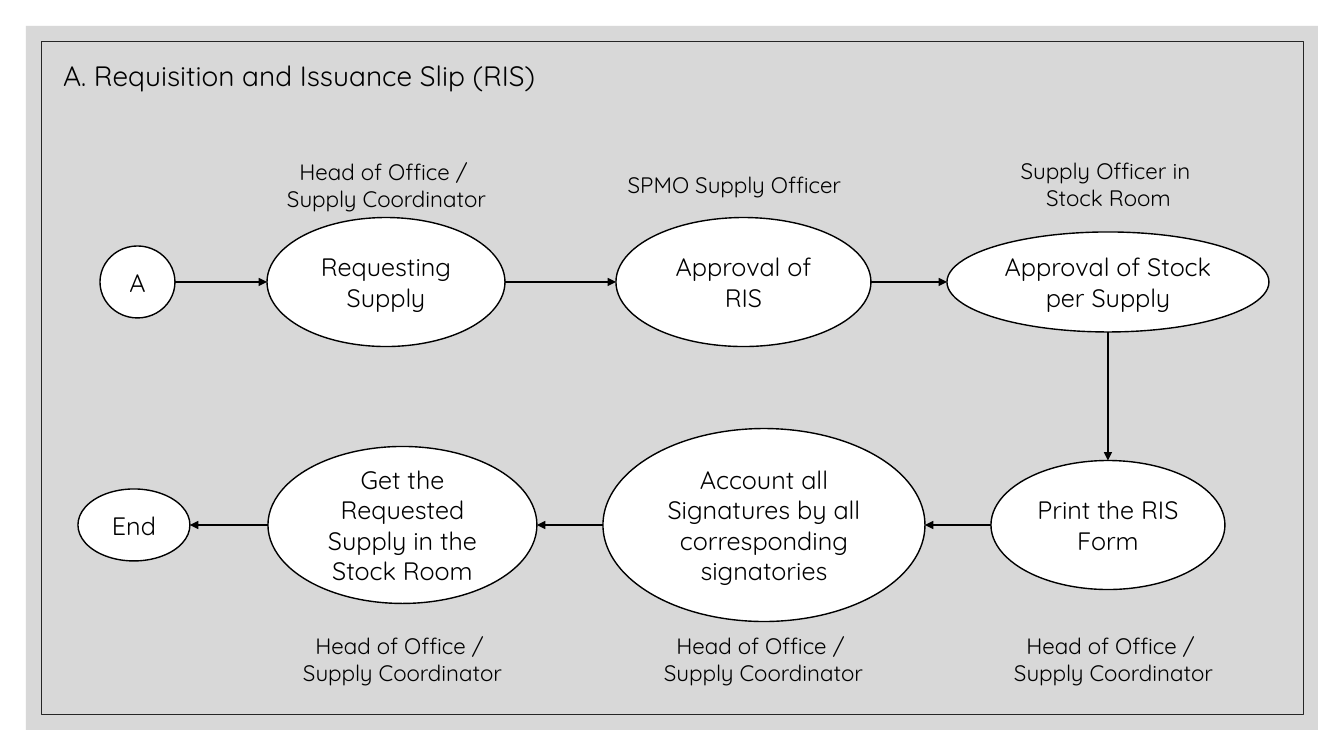
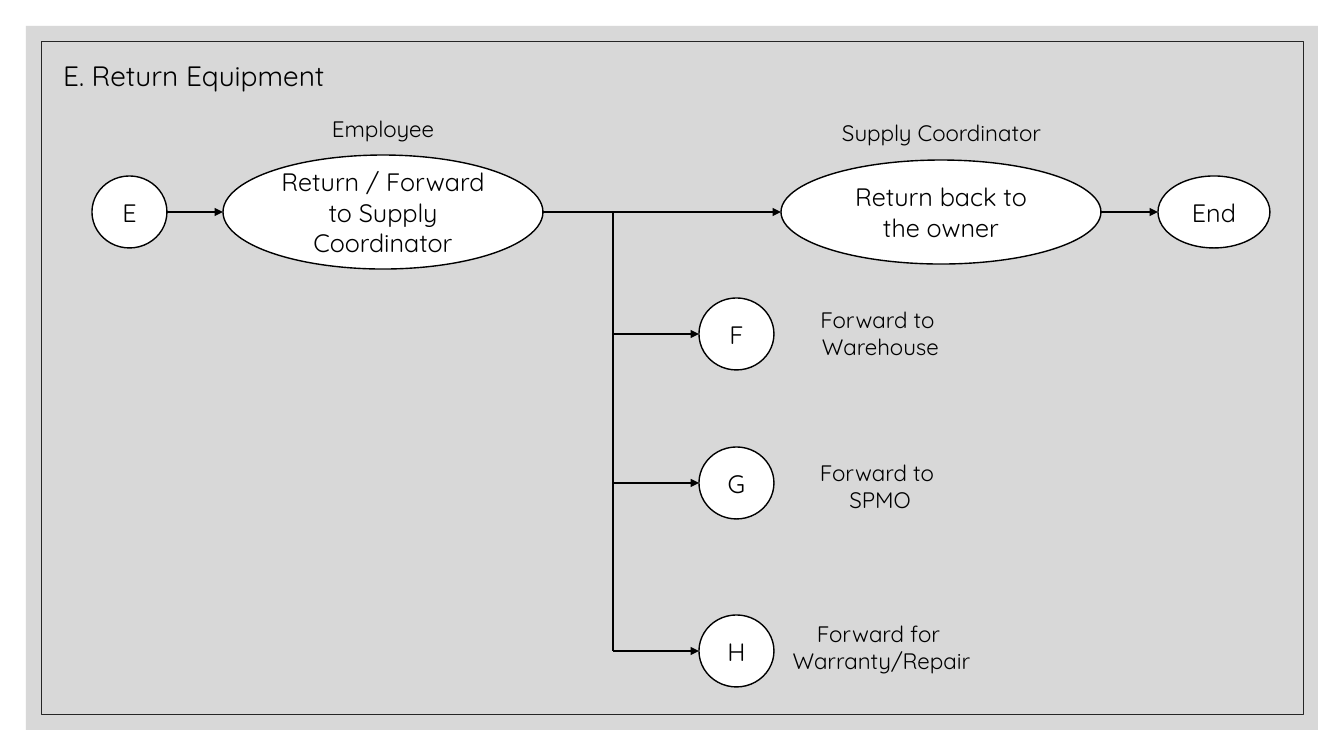
import lxml.etree
import pptx
import pptx.dml.color
import pptx.enum.shapes
import pptx.enum.text
import pptx.oxml.ns
import pptx.util

PIXEL = 12192000 / 1344
SLIDE_SIZE = (1344, 756)
BLACK, WHITE, GREY, DARK = "000000", "FFFFFF", "BFBFBF", "262626"
BAND = (26, 26, 1292, 704)
BORDER = (41, 41, 1262, 673)
TITLE = (53, 53, 937, 44)
TOP_ROW, BOTTOM_ROW, RETURN_ROW = 282, 525, 212
COORDINATOR = ["Head of Office / ", "Supply Coordinator"]
CENTER = pptx.enum.text.PP_ALIGN.CENTER
MIDDLE = pptx.enum.text.MSO_ANCHOR.MIDDLE
TOP = pptx.enum.text.MSO_ANCHOR.TOP
AUTO_SIZE = pptx.enum.text.MSO_AUTO_SIZE
SHAPES = pptx.enum.shapes.MSO_SHAPE

# steps: text, left, middle, width, height; labels: lines, left, top, width
FLOWS = [
    {
        "title": "A. Requisition and Issuance Slip (RIS)",
        "steps": {
            "start": ("A", 100, TOP_ROW, 75, 72),
            "request": ("Requesting Supply", 267, TOP_ROW, 238, 129),
            "approval": ("Approval of RIS", 616, TOP_ROW, 255, 129),
            "stock": ("Approval of Stock per Supply", 947, TOP_ROW, 322, 100),
            "print": ("Print the RIS Form", 991, BOTTOM_ROW, 234, 129),
            "sign": ("Account all Signatures by all corresponding signatories",
                     603, BOTTOM_ROW, 322, 193),
            "collect": ("Get the Requested Supply in the Stock Room",
                        268, BOTTOM_ROW, 269, 157),
            "end": ("End", 78, BOTTOM_ROW, 112, 72),
        },
        "path": ["start", "request", "approval", "stock",
                 "print", "sign", "collect", "end"],
        "labels": [
            (COORDINATOR, 270, 153, 233),
            (["SPMO Supply Officer"], 612, 166, 245),
            (["Supply Officer in ", "Stock Room"], 1006, 152, 205),
            (COORDINATOR, 997, 627, 233),
            (COORDINATOR, 647, 627, 233),
            (COORDINATOR, 286, 627, 233),
        ],
    },
    {
        "title": "E. Return Equipment",
        "steps": {
            "start": ("E", 92, RETURN_ROW, 75, 72),
            "forward": ("Return / Forward to Supply Coordinator",
                        223, RETURN_ROW, 320, 114),
            "owner": ("Return back to the owner", 781, RETURN_ROW, 320, 104),
            "end": ("End", 1158, RETURN_ROW, 112, 72),
            "warehouse": ("F", 699, 334, 75, 72),
            "office": ("G", 699, 483, 75, 72),
            "repair": ("H", 699, 651, 75, 72),
        },
        "path": ["start", "forward", "owner", "end"],
        "trunk": (613, RETURN_ROW),
        "branches": ["warehouse", "office", "repair"],
        "labels": [
            (["Supply Coordinator"], 825, 114, 233),
            (["Employee"], 318, 110, 130),
            (["Forward to ", "Warehouse"], 808, 301, 145),
            (["Forward to ", "SPMO"], 808, 454, 144),
            (["Forward for ", "Warranty/Repair"], 781, 615, 201),
        ],
    },
]


def emu(*pixels):
    return [round(value * PIXEL) for value in pixels]


def color(value):
    return pptx.dml.color.RGBColor.from_string(value)


def add_child(parent, tag, **attributes):
    return lxml.etree.SubElement(parent, pptx.oxml.ns.qn(tag), attributes)


def apply(target, formats):
    for name, value in formats.items():
        setattr(target, name, value)


def write(shape, lines, size, alignment, **frame_formats):
    frame = shape.text_frame
    apply(frame, frame_formats)
    frame.text = "\n".join(lines)
    for paragraph in frame.paragraphs:
        paragraph.alignment = alignment
        for run in paragraph.runs:
            apply(run.font, {"name": "Quicksand", "size": pptx.util.Pt(size)})
            run.font.color.rgb = color(BLACK)


def add_figure(slide, kind, box, fill=None, line=None, width=1):
    shape = slide.shapes.add_shape(kind, *emu(*box))
    shape.shadow.inherit = False
    if fill:
        shape.fill.solid()
        shape.fill.fore_color.rgb = color(fill)
    else:
        shape.fill.background()
    if line:
        shape.line.color.rgb = color(line)
        shape.line.width = pptx.util.Pt(width)
    else:
        shape.line.fill.background()
    return shape


def add_line(slide, start, end, arrow=True):
    connector = slide.shapes.add_connector(
        pptx.enum.shapes.MSO_CONNECTOR.STRAIGHT, *emu(*start, *end))
    connector.line.color.rgb = color(BLACK)
    connector.line.width = pptx.util.Pt(1.5)
    properties = connector.element.spPr
    if arrow:
        add_child(properties.find(pptx.oxml.ns.qn("a:ln")), "a:tailEnd", type="triangle")
    add_child(properties, "a:effectLst")


def link_points(source, target):
    _, left, middle, width, height = source
    _, next_left, next_middle, next_width, next_height = target
    if middle != next_middle:
        center = left + width / 2
        return (center, middle + height / 2), (center, next_middle - next_height / 2)
    if left < next_left:
        return (left + width, middle), (next_left, middle)
    return (left, middle), (next_left + next_width, middle)


def add_frame(master, slide):
    band = add_figure(slide, SHAPES.RECTANGLE, BAND, fill=GREY)
    fill_color = next(band.element.iter(pptx.oxml.ns.qn("a:srgbClr")))
    add_child(fill_color, "a:alpha", val="60000")
    border = add_figure(slide, SHAPES.RECTANGLE, BORDER, line=DARK, width=0.5)
    for order, shape in enumerate((band, border)):
        shape.element.nvSpPr.cNvPr.set("id", str(100 + order))
        master.element.cSld.spTree.insert(2 + order, shape.element)


def add_flow(slide, flow):
    write(slide.shapes.title, [flow["title"]], 20, pptx.enum.text.PP_ALIGN.LEFT,
          vertical_anchor=TOP, word_wrap=True, auto_size=AUTO_SIZE.NONE)
    steps = flow["steps"]
    for text, left, middle, width, height in steps.values():
        box = (left, middle - height / 2, width, height)
        oval = add_figure(slide, SHAPES.OVAL, box, fill=WHITE, line=BLACK)
        write(oval, [text], 18, CENTER, vertical_anchor=MIDDLE, word_wrap=True)
    for source, target in zip(flow["path"], flow["path"][1:]):
        add_line(slide, *link_points(steps[source], steps[target]))
    if "trunk" in flow:
        trunk_x, trunk_top = flow["trunk"]
        ends = [steps[name][1:3] for name in flow["branches"]]
        add_line(slide, (trunk_x, trunk_top), (trunk_x, ends[-1][1]), arrow=False)
        for end in ends:
            add_line(slide, (trunk_x, end[1]), end)
    for lines, left, top, width in flow["labels"]:
        height = 10 + 27 * len(lines)
        label = slide.shapes.add_textbox(*emu(left, top, width, height))
        write(label, lines, 16, CENTER, word_wrap=False,
              auto_size=AUTO_SIZE.SHAPE_TO_FIT_TEXT)


presentation = pptx.Presentation()
presentation.slide_width, presentation.slide_height = emu(*SLIDE_SIZE)
layout = presentation.slide_layouts.get_by_name("Title Only")
apply(layout.placeholders[0], dict(zip(("left", "top", "width", "height"), emu(*TITLE))))
slides = [presentation.slides.add_slide(layout) for flow in FLOWS]
add_frame(presentation.slide_master, slides[0])
for slide, flow in zip(slides, FLOWS):
    add_flow(slide, flow)
presentation.save("out.pptx")
